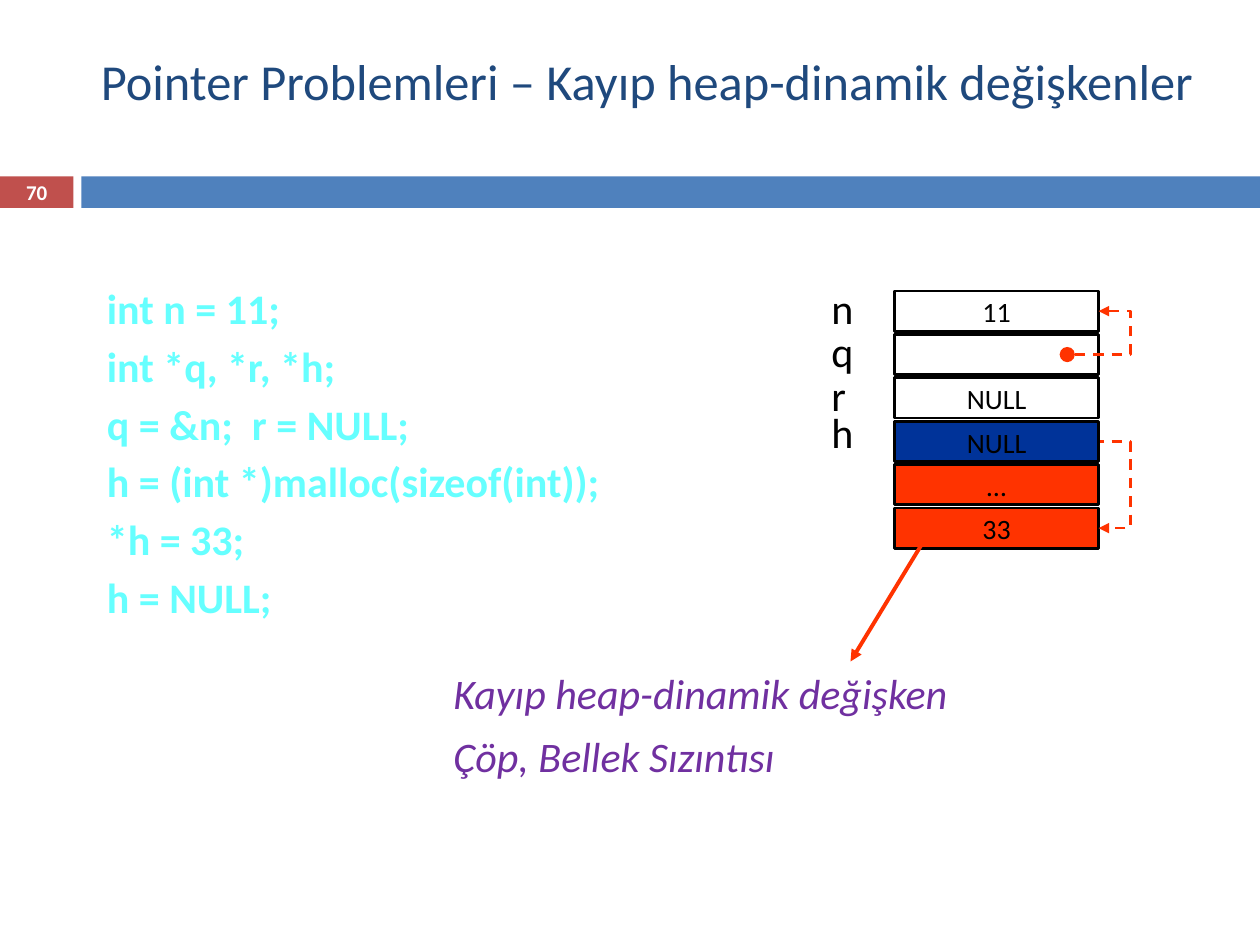
from dataclasses import dataclass

from lxml import etree
from pptx import Presentation
from pptx.dml.color import RGBColor
from pptx.enum import dml, shapes, text
from pptx.oxml import ns
from pptx.util import Pt


@dataclass(frozen=True)
class Theme:
    font: str = "Calibri"
    title: str = "1F497D"
    bar: str = "4F81BD"
    badge: str = "C0504D"
    code: str = "66FFFF"
    ink: str = "000000"
    white: str = "FFFFFF"
    heap: str = "FF3300"
    null: str = "003399"
    note: str = "7030A0"
    title_size: float = 28.8
    body_size: float = 24
    cell_size: float = 16
    number_size: float = 12


def write(tf, content, size, color, bold=False, italic=False,
          align=text.PP_ALIGN.LEFT, anchor=text.MSO_ANCHOR.TOP, gap=0):
    """Fill a text frame, one paragraph per line of content."""
    tf.word_wrap = True
    tf.auto_size = text.MSO_AUTO_SIZE.NONE
    tf.vertical_anchor = anchor
    for i, line in enumerate(content.split("\n")):
        p = tf.paragraphs[0] if i == 0 else tf.add_paragraph()
        p.alignment = align
        p.space_before = Pt(gap if i else 0)
        r = p.add_run()
        r.text = line
        r.font.name, r.font.size = T.font, Pt(size)
        r.font.bold, r.font.italic = bold, italic
        r.font.color.rgb = RGBColor.from_string(color)


class Builder:
    def __init__(self, prs):
        self.s = prs.slides.add_slide(prs.slide_layouts[5])

    def title(self, content, *box):
        sp = self.s.shapes.title
        sp.left, sp.top, sp.width, sp.height = map(Pt, box)
        write(sp.text_frame, content, T.title_size, T.title,
              anchor=text.MSO_ANCHOR.MIDDLE)

    def label(self, content, *box, **fmt):
        sp = self.s.shapes.add_textbox(*map(Pt, box))
        write(sp.text_frame, content, **fmt)

    def shape(self, kind, *box, fill=None, line=None):
        sp = self.s.shapes.add_shape(kind, *map(Pt, box))
        sp.shadow.inherit = False
        if fill:
            sp.fill.solid()
            sp.fill.fore_color.rgb = RGBColor.from_string(fill)
        else:
            sp.fill.background()
        if line:
            sp.line.color.rgb = RGBColor.from_string(line)
            sp.line.width = Pt(1.5)
        else:
            sp.line.fill.background()
        return sp

    def cell(self, row, content="", fill=None):
        sp = self.shape(RECT, CELL_X, row_y(row), CELL_W, CELL_H,
                        fill=fill, line=T.ink)
        tf = sp.text_frame
        tf.margin_top = tf.margin_bottom = Pt(2.2)
        if content:
            write(tf, content, T.cell_size, T.ink, align=text.PP_ALIGN.CENTER)

    def arrow(self, kind, *ends, width=1.5, dashed=False, bend=None):
        c = self.s.shapes.add_connector(kind, *map(Pt, ends))
        c.line.color.rgb = RGBColor.from_string(T.heap)
        c.line.width = Pt(width)
        if dashed:
            c.line.dash_style = dml.MSO_LINE.DASH
        pr = c._element.spPr
        ln = pr.find(ns.qn("a:ln"))
        etree.SubElement(ln, ns.qn("a:tailEnd"), type="triangle")
        etree.SubElement(pr, ns.qn("a:effectLst"))
        if bend:
            guides = pr.find(ns.qn("a:prstGeom")).find(ns.qn("a:avLst"))
            etree.SubElement(guides, ns.qn("a:gd"), name="adj1",
                             fmla=f"val {bend}")

    def pointer(self, start_row, end_row):
        """Dashed elbow that leaves one cell and enters another."""
        self.arrow(shapes.MSO_CONNECTOR.ELBOW, 614.2, row_mid(start_row),
                   CELL_X + CELL_W, row_mid(end_row),
                   dashed=True, bend=233300)


T = Theme()
RECT = shapes.MSO_SHAPE.RECTANGLE
CELL_X, CELL_Y, CELL_W, CELL_H, PITCH = 511.2, 166.3, 116.6, 23, 24.8


def row_y(row):
    return CELL_Y + row * PITCH


def row_mid(row):
    return row_y(row) + CELL_H / 2


def main():
    prs = Presentation()
    prs.slide_width, prs.slide_height = Pt(720), Pt(540)
    b = Builder(prs)

    # Header band and slide number
    b.shape(RECT, 0, 100.8, 42, 18, fill=T.badge)
    b.shape(RECT, 46.5, 100.8, 673.5, 18, fill=T.bar)
    b.title("Pointer Problemleri – Kayıp heap-dinamik değişkenler",
            50.4, 12.2, 673 - 29, 67)
    b.label("70", 0, 100.3, 42, 19.4, size=T.number_size, color=T.white,
            bold=True, align=text.PP_ALIGN.CENTER,
            anchor=text.MSO_ANCHOR.MIDDLE)

    # Code
    b.label("int n = 11;\nint *q, *r, *h;\nq = &n;  r = NULL;\n"
            "h = (int *)malloc(sizeof(int));\n*h = 33;\nh = NULL;",
            54, 157.7, 315.4, 243.4, size=T.body_size, color=T.code,
            bold=True, gap=4.3)

    # Variable names
    for name, y in zip("nqrh", (157.7, 182.3, 207.4, 229)):
        b.label(name, 468, y, 28, 36, size=T.body_size, color=T.ink)

    # Memory cells; the h cell covers the start of its old pointer
    b.cell(0, "11")
    b.cell(1)
    b.cell(2, "NULL")
    b.cell(4, "…", T.heap)
    b.cell(5, "33", T.heap)
    b.shape(shapes.MSO_SHAPE.OVAL, 605.5, row_mid(1) - 4.35, 8.7, 8.7,
            fill=T.heap)
    b.pointer(1, 0)
    b.pointer(3, 5)
    b.cell(3, "NULL", T.null)

    # Note on the lost variable
    b.arrow(shapes.MSO_CONNECTOR.STRAIGHT, 532, 302.4, 486, 378, width=2.25)
    for line, y in (("Kayıp heap-dinamik değişken", 378),
                    ("Çöp, Bellek Sızıntısı", 414)):
        b.label(line, 252, y, 353.5, 36, size=T.body_size, color=T.note,
                italic=True)

    prs.save("out.pptx")


if __name__ == "__main__":
    main()
